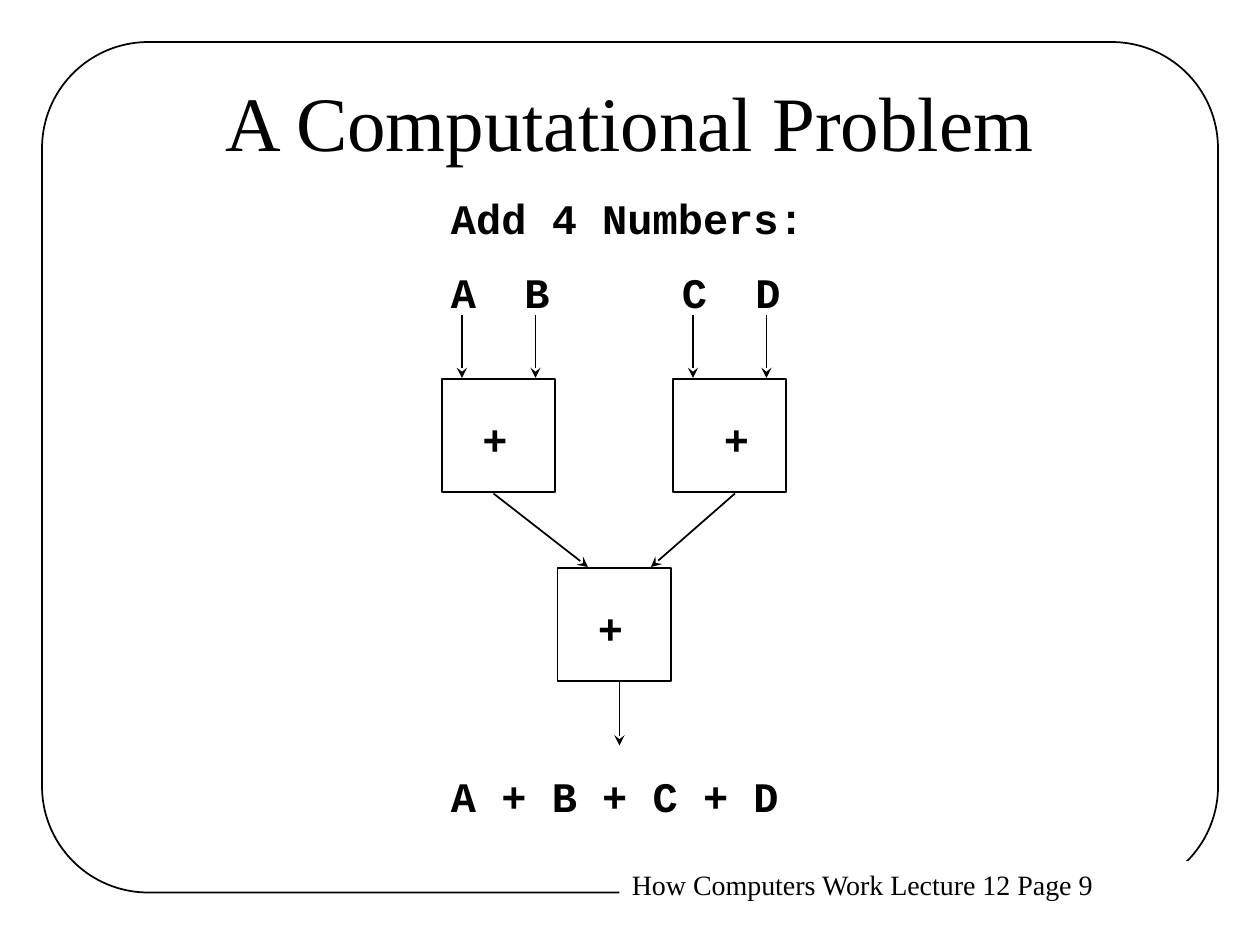
from dataclasses import dataclass

from pptx import Presentation
from pptx.dml.color import RGBColor
from pptx.enum.shapes import MSO_CONNECTOR as Connector, MSO_SHAPE as Shape
from pptx.enum.text import MSO_ANCHOR as Anchor, MSO_AUTO_SIZE as AutoSize, PP_ALIGN as Align
from pptx.oxml.ns import qn
from pptx.util import Pt
from lxml.etree import SubElement


@dataclass(frozen=True)
class Theme:
    ink: RGBColor = RGBColor(0, 0, 0)
    paper: RGBColor = RGBColor(255, 255, 255)
    serif: str = "Times New Roman"
    mono: str = "Courier New"
    title_size: float = 44
    label_size: float = 24
    footer_size: float = 16
    line_width: float = 1


class SlideBuilder:
    """Draws the elements of one slide in a shared style."""

    def __init__(self, page, theme):
        self.page = page
        self.theme = theme

    def set_text(self, shape, text, font, size, bold=False, align=Align.LEFT):
        frame = shape.text_frame
        frame.text = text
        para = frame.paragraphs[0]
        para.alignment = align
        para.font.name = font
        para.font.size = Pt(size)
        para.font.bold = bold
        para.font.color.rgb = self.theme.ink
        return frame

    def title(self, text, left, top, width, height):
        box = self.page.shapes.title
        box.left, box.top, box.width, box.height = map(Pt, (left, top, width, height))
        frame = self.set_text(box, text, self.theme.serif, self.theme.title_size, align=Align.CENTER)
        frame.auto_size = AutoSize.NONE
        frame.vertical_anchor = Anchor.MIDDLE

    def block(self, left, top, width, height, kind=Shape.RECTANGLE, filled=True, outlined=True):
        shape = self.page.shapes.add_shape(kind, *map(Pt, (left, top, width, height)))
        shape.shadow.inherit = False
        if filled:
            shape.fill.solid()
            shape.fill.fore_color.rgb = self.theme.paper
        else:
            shape.fill.background()
        if outlined:
            shape.line.color.rgb = self.theme.ink
            shape.line.width = Pt(self.theme.line_width)
        else:
            shape.line.fill.background()
        return shape

    def frame(self, left, top, width, height, rounding):
        shape = self.block(left, top, width, height, Shape.ROUNDED_RECTANGLE, filled=False)
        shape.adjustments[0] = rounding

    def footer(self, text, left, top, width, height):
        shape = self.block(left, top, width, height, outlined=False)
        frame = self.set_text(shape, text, self.theme.serif, self.theme.footer_size)
        frame.vertical_anchor = Anchor.TOP

    def label(self, text, left, top, width=28.8, height=36):
        box = self.page.shapes.add_textbox(*map(Pt, (left, top, width, height)))
        frame = self.set_text(box, text, self.theme.mono, self.theme.label_size, bold=True)
        frame.word_wrap = False

    def arrow(self, start, end):
        connector = self.page.shapes.add_connector(Connector.STRAIGHT, *map(Pt, (*start, *end)))
        connector.line.color.rgb = self.theme.ink
        connector.line.width = Pt(self.theme.line_width)
        properties = connector._element.spPr
        SubElement(properties.find(qn("a:ln")), qn("a:tailEnd"), type="stealth")
        SubElement(properties, qn("a:effectLst"))


def main():
    deck = Presentation()
    deck.slide_width, deck.slide_height = Pt(720), Pt(540)
    page = deck.slides.add_slide(deck.slide_layouts[5])
    slide = SlideBuilder(page, Theme())

    slide.frame(24, 24, 672, 486, rounding=0.125)
    slide.footer("How Computers Work Lecture 12 Page 9", 354, 492, 338, 26.5)
    slide.title("A Computational Problem", 54, 24, 612, 90)

    text_left, adder_size = 250.6, 64.8
    slide.label("Add 4 Numbers:", text_left, 106.6, 216)

    adders = [(252.6, 216.6, 268.6), (384.6, 216.6, 406.6), (318.6, 324.6, 334.6)]
    for left, top, plus_left in adders:
        slide.block(left, top, adder_size, adder_size)
        slide.label("+", plus_left, top + 16)

    for name, center in zip("ABCD", (264, 306, 396, 438)):
        slide.label(name, center - 13.4, 148.6)
        slide.arrow((center, 180), (center, 216))

    slide.arrow((282, 282), (336, 324))
    slide.arrow((420, 282), (372, 324))
    slide.arrow((354, 390), (354, 426))
    slide.label("A + B + C + D", text_left, 436.6, 201.6)

    deck.save("out.pptx")


if __name__ == "__main__":
    main()
